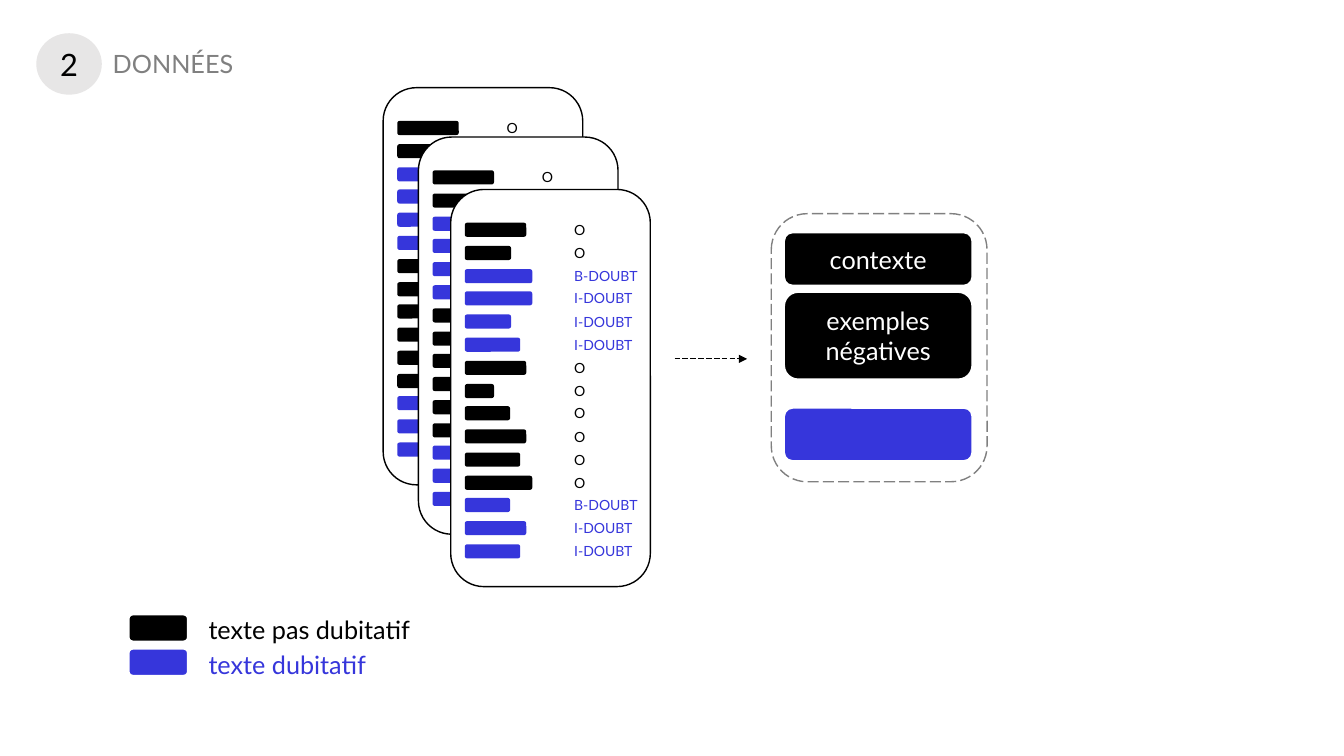
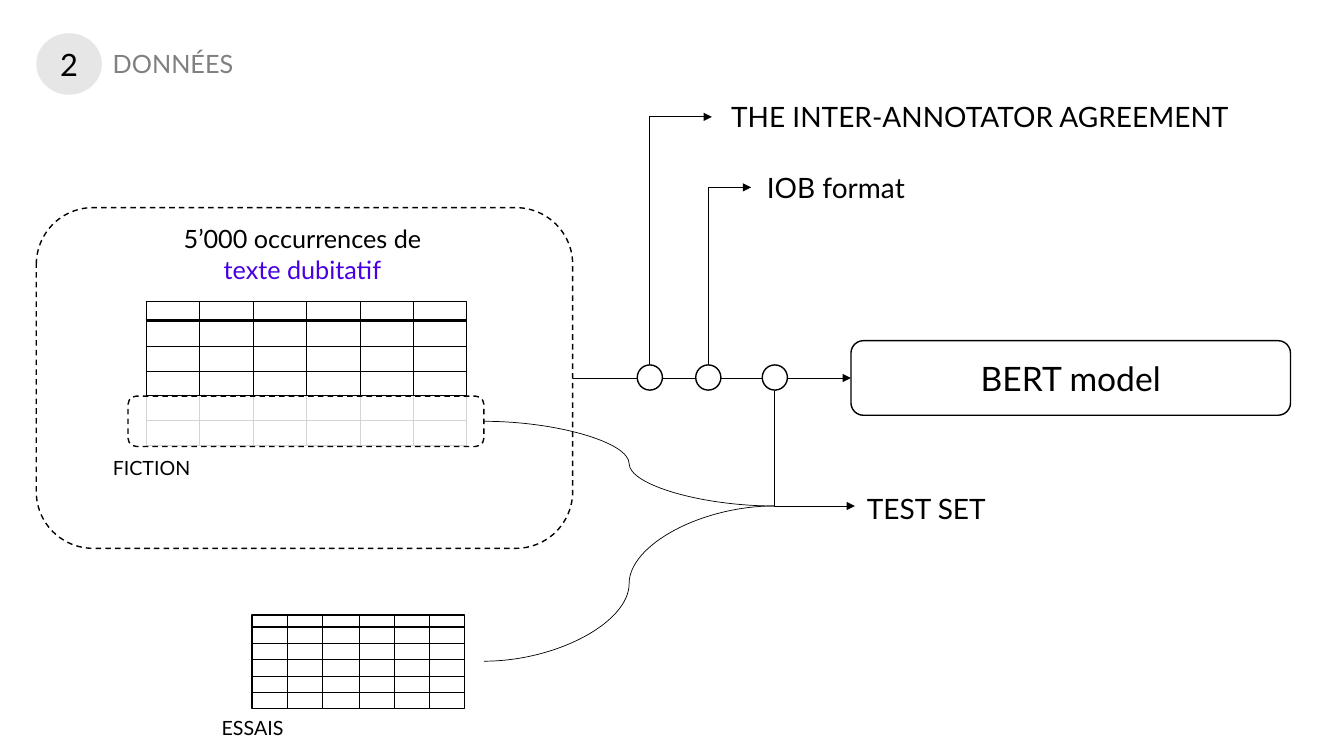
from dataclasses import dataclass
from typing import Optional

from lxml import etree
from pptx import Presentation
from pptx.dml.color import RGBColor
from pptx.enum.dml import MSO_LINE
from pptx.enum.shapes import MSO_CONNECTOR, MSO_SHAPE
from pptx.enum.text import MSO_ANCHOR, PP_ALIGN
from pptx.oxml.ns import qn
from pptx.util import Emu, Pt

EMU_PER_PX = 9144
FONT = "Lato"
BLACK, WHITE, GREY = "000000", "FFFFFF", "808080"
DOUBT_BLUE, ACCENT_VIOLET, BADGE_GREY = "3636DB", "4700E3", "E7E6E6"

RECTANGLE = MSO_SHAPE.RECTANGLE
ROUNDED = MSO_SHAPE.ROUNDED_RECTANGLE
OVAL = MSO_SHAPE.OVAL
STRAIGHT, ELBOW, CURVE = MSO_CONNECTOR.STRAIGHT, MSO_CONNECTOR.ELBOW, MSO_CONNECTOR.CURVE
DASH, LONG_DASH = MSO_LINE.DASH, MSO_LINE.LONG_DASH
LEFT, CENTER = PP_ALIGN.LEFT, PP_ALIGN.CENTER
TOP, MIDDLE = MSO_ANCHOR.TOP, MSO_ANCHOR.MIDDLE


@dataclass(frozen=True)
class Box:
    left: int
    top: int
    width: int
    height: int


@dataclass(frozen=True)
class Stroke:
    color: str = BLACK
    points: float = 1
    dash: Optional[MSO_LINE] = None


@dataclass(frozen=True)
class Label:
    text: str
    size: int = 18
    color: str = BLACK
    align: PP_ALIGN = LEFT
    anchor: MSO_ANCHOR = TOP


@dataclass(frozen=True)
class Token:
    width: int
    tag: str = "O"

    @property
    def color(self) -> str:
        return BLACK if self.tag == "O" else DOUBT_BLUE


@dataclass(frozen=True)
class Card:
    left: int
    top: int
    visible_tags: int


@dataclass(frozen=True)
class Grid:
    box: Box
    header: int
    columns: int = 6
    body_rows: int = 5


OUTLINE = Stroke()
WHITE_EDGE = Stroke(WHITE, 2.25)
DASHED = Stroke(dash=DASH)
THIN = Stroke(points=0.5)
HAIRLINE = Stroke(points=0.25)
HEADER_RULE = Stroke(points=1.5)

TOKENS = [
    Token(61), Token(46), Token(67, "B-DOUBT"), Token(67, "I-DOUBT"),
    Token(46, "I-DOUBT"), Token(55, "I-DOUBT"), Token(61), Token(29),
    Token(45), Token(61), Token(55), Token(67), Token(45, "B-DOUBT"),
    Token(61, "I-DOUBT"), Token(55, "I-DOUBT"),
]
CARDS = [Card(380, 87, 1), Card(415, 136, 1), Card(447, 188, len(TOKENS))]
TOKEN_SPAN = 319


def px(length: float) -> Emu:
    return Emu(round(length * EMU_PER_PX))


def rgb(color: str) -> RGBColor:
    return RGBColor.from_string(color)


def format_run(run, size: int, color: str) -> None:
    run.font.name = FONT
    run.font.size = Pt(size)
    run.font.color.rgb = rgb(color)


def write(shape, label: Label) -> None:
    frame = shape.text_frame
    frame.word_wrap = True
    frame.vertical_anchor = label.anchor
    frame.text = label.text
    paragraph = frame.paragraphs[0]
    paragraph.alignment = label.align
    for run in paragraph.runs:
        format_run(run, label.size, label.color)


def apply_stroke(line, stroke: Stroke) -> None:
    line.color.rgb = rgb(stroke.color)
    line.width = Pt(stroke.points)
    if stroke.dash is not None:
        line.dash_style = stroke.dash


def add_box(slide, kind: MSO_SHAPE, box: Box, fill: Optional[str] = None,
            stroke: Optional[Stroke] = None, label: Optional[Label] = None):
    shape = slide.shapes.add_shape(
        kind, px(box.left), px(box.top), px(box.width), px(box.height))
    shape.shadow.inherit = False
    if fill is None:
        shape.fill.background()
    else:
        shape.fill.solid()
        shape.fill.fore_color.rgb = rgb(fill)
    if stroke is None:
        shape.line.fill.background()
    else:
        apply_stroke(shape.line, stroke)
    if label is not None:
        write(shape, label)
    return shape


def add_text(slide, box: Box, label: Label):
    shape = slide.shapes.add_textbox(
        px(box.left), px(box.top), px(box.width), px(box.height))
    write(shape, label)
    return shape


def add_line(slide, start: tuple[int, int], end: tuple[int, int], stroke: Stroke = THIN,
             kind: MSO_CONNECTOR = STRAIGHT, arrow: bool = False):
    connector = slide.shapes.add_connector(kind, *(px(value) for value in start + end))
    apply_stroke(connector.line, stroke)
    properties = connector.element.spPr
    if arrow:
        etree.SubElement(properties.find(qn("a:ln")), qn("a:tailEnd"), type="triangle")
    etree.SubElement(properties, qn("a:effectLst"))
    return connector


def add_corner_arrow(slide, start: tuple[int, int], end: tuple[int, int]) -> None:
    connector = add_line(slide, start, end, kind=ELBOW, arrow=True)
    adjustments = connector.element.spPr.find(qn("a:prstGeom")).find(qn("a:avLst"))
    etree.SubElement(adjustments, qn("a:gd"), name="adj1", fmla="val 0")


def set_opacity(shape, percent: int) -> None:
    color = shape.element.spPr.find(qn("a:solidFill")).find(qn("a:srgbClr"))
    etree.SubElement(color, qn("a:alpha"), val=str(percent * 1000))


def add_heading(slide) -> None:
    add_box(slide, OVAL, Box(36, 33, 65, 61), BADGE_GREY,
            label=Label("2", 22, align=CENTER, anchor=MIDDLE))
    add_text(slide, Box(102, 43, 160, 40), Label("DONNÉES", color=GREY))


def add_card(slide, card: Card) -> None:
    add_box(slide, ROUNDED, Box(card.left, card.top, 198, 394), WHITE, OUTLINE)
    for index, token in enumerate(TOKENS):
        top = card.top + 33 + round(index * TOKEN_SPAN / (len(TOKENS) - 1))
        add_box(slide, ROUNDED, Box(card.left + 14, top, token.width, 14), token.color)
        if index < card.visible_tags:
            add_box(slide, ROUNDED, Box(card.left + 112, top, 95, 14),
                    label=Label(token.tag, 10, token.color, anchor=MIDDLE))


def add_grid(slide, grid: Grid) -> None:
    box = grid.box
    right, bottom = box.left + box.width, box.top + box.height
    add_box(slide, RECTANGLE, box, stroke=OUTLINE)
    for column in range(1, grid.columns):
        x = box.left + round(column * box.width / grid.columns)
        add_line(slide, (x, box.top), (x, bottom))
    row_height = (box.height - grid.header) / grid.body_rows
    for row in range(grid.body_rows):
        y = box.top + grid.header + round(row * row_height)
        add_line(slide, (box.left, y), (right, y), HAIRLINE if row else HEADER_RULE)


def build_annotation_slide(slide) -> None:
    add_heading(slide)
    legend = [("texte pas dubitatif", BLACK, 609), ("texte dubitatif", DOUBT_BLUE, 643)]
    for text, color, top in legend:
        add_box(slide, ROUNDED, Box(127, top, 60, 28), color, WHITE_EDGE)
        add_text(slide, Box(197, top - 4, 247, 40), Label(text, color=color))

    for card in CARDS:
        add_card(slide, card)

    add_line(slide, (669, 356), (741, 356), Stroke(points=0.5, dash=LONG_DASH), arrow=True)
    add_box(slide, ROUNDED, Box(765, 212, 214, 266), stroke=Stroke(GREY, dash=LONG_DASH))
    blocks = [("contexte", 230, 54, BLACK), ("exemples négatives", 289, 88, BLACK),
              ("", 404, 54, DOUBT_BLUE)]
    for text, top, height, color in blocks:
        label = Label(text, color=WHITE, align=CENTER, anchor=MIDDLE) if text else None
        add_box(slide, ROUNDED, Box(777, top, 188, height), color, WHITE_EDGE, label)


def build_pipeline_slide(slide) -> None:
    add_heading(slide)
    add_grid(slide, Grid(Box(145, 299, 318, 143), header=19))
    add_box(slide, ROUNDED, Box(36, 206, 532, 338), stroke=DASHED)
    add_line(slide, (568, 375), (844, 375), arrow=True)
    add_box(slide, ROUNDED, Box(844, 338, 436, 74), stroke=OUTLINE,
            label=Label("BERT model", 24, align=CENTER, anchor=MIDDLE))

    veil = add_box(slide, RECTANGLE, Box(127, 393, 393, 105), WHITE)
    set_opacity(veil, 83)
    add_box(slide, ROUNDED, Box(127, 393, 353, 50), stroke=DASHED)
    for left in (632, 690, 756):
        add_box(slide, OVAL, Box(left, 362, 25, 25), WHITE, OUTLINE)

    add_text(slide, Box(706, 94, 532, 44),
             Label("THE INTER-ANNOTATOR AGREEMENT", 20, align=CENTER))
    add_box(slide, RECTANGLE, Box(745, 164, 168, 44), WHITE,
            label=Label("IOB format", 20, align=CENTER, anchor=MIDDLE))
    add_text(slide, Box(850, 482, 259, 44), Label("TEST SET", 20, anchor=MIDDLE))
    add_corner_arrow(slide, (644, 362), (706, 116))
    add_corner_arrow(slide, (703, 362), (745, 186))
    add_corner_arrow(slide, (768, 388), (848, 502))

    add_grid(slide, Grid(Box(250, 610, 211, 93), header=12))
    for source_y in (418, 656):
        add_line(slide, (480, source_y), (768, 502), kind=CURVE)
    for text, left, top in (("FICTION", 102, 447), ("ESSAIS", 210, 705)):
        add_text(slide, Box(left, top, 111, 34), Label(text, 14))

    caption = add_text(slide, Box(147, 217, 306, 71),
                       Label("5’000 occurrences de ", align=CENTER))
    highlight = caption.text_frame.paragraphs[0].add_run()
    highlight.text = "texte dubitatif"
    format_run(highlight, 18, ACCENT_VIOLET)


def main() -> None:
    presentation = Presentation()
    presentation.slide_width = px(1333)
    presentation.slide_height = px(750)
    blank_layout = presentation.slide_layouts[6]
    for build in (build_annotation_slide, build_pipeline_slide):
        build(presentation.slides.add_slide(blank_layout))
    presentation.save("out.pptx")


if __name__ == "__main__":
    main()
